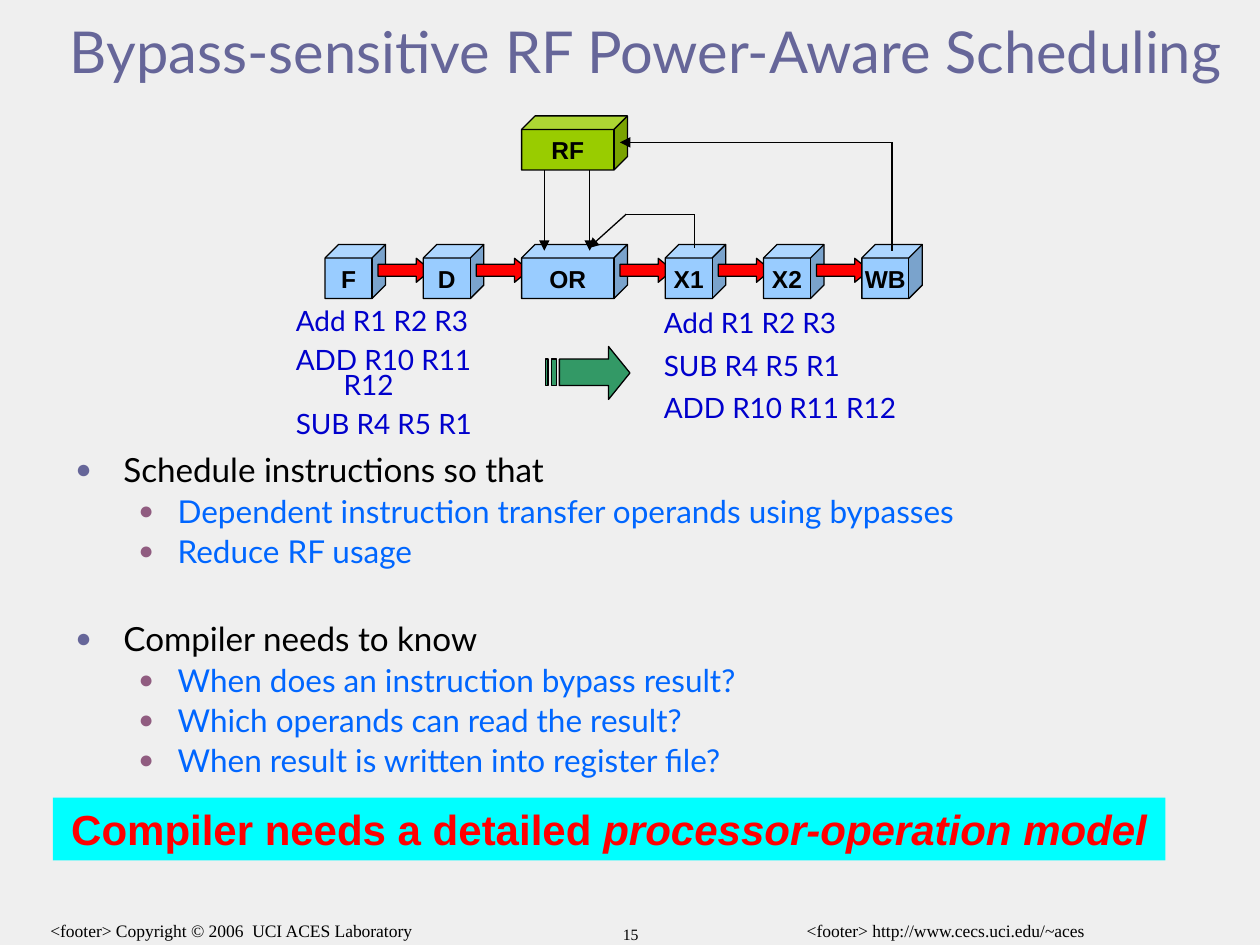
"""Build the slide on bypass-sensitive register file power-aware scheduling."""
import lxml.etree
import pptx
import pptx.dml.color
import pptx.enum.shapes
import pptx.enum.text
import pptx.oxml.ns
import pptx.util

Inches = pptx.util.Inches
Pt = pptx.util.Pt
SHAPE = pptx.enum.shapes.MSO_SHAPE
ALIGN = pptx.enum.text.PP_ALIGN
ANCHOR = pptx.enum.text.MSO_ANCHOR
qn = pptx.oxml.ns.qn

THEME = {
    "background": "EFEFEF", "line": "000000", "stage": "99CCFF", "register": "99CC00",
    "flow": "FF0000", "change": "339966", "banner": "00FFFF", "line_width": 0.75,
    "title": {"size": 33, "name": "Lato", "color": "666699"},
    "topic": {"size": 19, "name": "Lato", "color": "000000"},
    "detail": {"size": 18, "name": "Lato", "color": "0066FF"},
    "code": {"size": 16, "name": "Lato", "color": "0000CC"},
    "label": {"size": 14, "name": "Arial", "color": "000000", "bold": True},
    "claim": {"size": 24, "name": "Arial", "color": "FF0000", "bold": True},
    "footer": {"size": 10, "name": "Times New Roman", "color": "000000"},
    "number": {"size": 9, "name": "Times New Roman", "color": "000000"},
}
LEVELS = [
    {"style": "topic", "bullet": "666699", "margin": 0.38, "indent": -0.38, "before": 9.5},
    {"style": "detail", "bullet": "905C80", "margin": 0.81, "indent": -0.31, "before": 5.6},
]

TITLE = "Bypass-sensitive RF Power-Aware Scheduling"
TOPICS = [
    ("Schedule instructions so that", [
        "Dependent instruction transfer operands using bypasses",
        "Reduce RF usage"]),
    ("Compiler needs to know", [
        "When does an instruction bypass result?",
        "Which operands can read the result?",
        "When result is written into register file?"]),
]
TOPIC_GAP = 32.5
LISTINGS = [
    ((2.25, 2.42, 2, 1.17), 0.75, ["Add R1 R2 R3", "ADD R10 R11 R12", "SUB R4 R5 R1"]),
    ((5.17, 2.42, 2.08, 1.17), 0.85, ["Add R1 R2 R3", "SUB R4 R5 R1", "ADD R10 R11 R12"]),
]
CLAIM = [("Compiler needs a detailed ", False), ("processor-operation model", True)]
SMALL_PRINT = [
    ((0, 7.25, 3.67, 0.33), "footer", "<footer> Copyright © 2006  UCI ACES Laboratory"),
    ((5.67, 7.25, 3.67, 0.33), "footer", "<footer> http://www.cecs.uci.edu/~aces"),
    ((3.76, 7.29, 2.49, 0.25), "number", "15"),
]
STAGES = [("F", 0.48), ("D", 0.48), ("OR", 0.84), ("X1", 0.48), ("X2", 0.48), ("WB", 0.48)]
STAGE_LEFT, STAGE_TOP, STAGE_HEIGHT, STAGE_GAP = 2.58, 1.94, 0.43, 0.3
REGISTER_FILE = ("RF", (4.14, 0.92, 0.84, 0.43))
WIRES = [
    [(4.32, 1.35), (4.32, 1.99)],
    [(4.68, 1.35), (4.68, 1.99)],
    [(7.08, 1.99), (7.08, 1.13), (4.92, 1.13)],
    [(5.51, 1.97), (5.51, 1.7), (4.97, 1.7), (4.67, 1.97)],
]
CHANGE_ARROW = [
    [(4.44, 2.85), (4.83, 2.85), (4.83, 2.75), (5, 2.96), (4.83, 3.17), (4.83, 3.06), (4.44, 3.06)],
    [(4.33, 2.85), (4.35, 2.85), (4.35, 3.06), (4.33, 3.06)],
    [(4.38, 2.85), (4.42, 2.85), (4.42, 3.06), (4.38, 3.06)],
]


def color(value):
    return pptx.dml.color.RGBColor.from_string(value)


def lengths(numbers):
    return [Inches(number) for number in numbers]


def set_attributes(target, values):
    for name, value in values.items():
        setattr(target, name, value)


def add_span(para, text, style, italic=None):
    span = para.add_run()
    span.text = text
    values = {**THEME[style], "italic": italic}
    span.font.color.rgb = color(values.pop("color"))
    values["size"] = Pt(values["size"])
    set_attributes(span.font, values)


def add_para(frame, first, **values):
    para = frame.paragraphs[0] if first else frame.add_paragraph()
    set_attributes(para, {**values, "space_before": Pt(0 if first else values.get("space_before", 0))})
    return para


def set_indent(para, margin, indent):
    properties = para._p.get_or_add_pPr()
    properties.set("marL", str(Inches(margin)))
    properties.set("indent", str(Inches(indent)))
    return properties


def add_bullet(properties, bullet_color):
    holder = lxml.etree.SubElement(properties, qn("a:buClr"))
    lxml.etree.SubElement(holder, qn("a:srgbClr"), val=bullet_color)
    for tag, values in [("a:buSzPct", {"val": "80000"}), ("a:buFont", {"typeface": "Arial"}),
                        ("a:buChar", {"char": "●"})]:
        lxml.etree.SubElement(properties, qn(tag), values)


def add_text_box(slide, place):
    frame = slide.shapes.add_textbox(*lengths(place)).text_frame
    frame.word_wrap = True
    return frame


def paint(shape, fill, outlined=True):
    shape.shadow.inherit = False
    shape.fill.solid()
    shape.fill.fore_color.rgb = color(THEME[fill])
    if outlined:
        shape.line.color.rgb = color(THEME["line"])
        shape.line.width = Pt(THEME["line_width"])
    else:
        shape.line.fill.background()


def add_cube(slide, label, place, fill):
    cube = slide.shapes.add_shape(SHAPE.CUBE, *lengths(place))
    cube.adjustments[0] = 0.25
    paint(cube, fill)
    set_attributes(cube.text_frame, {"word_wrap": False, "vertical_anchor": ANCHOR.MIDDLE})
    add_span(add_para(cube.text_frame, True, alignment=ALIGN.CENTER), label, "label")


def add_wire(slide, points):
    for start, end in zip(points, points[1:]):
        wire = slide.shapes.add_connector(
            pptx.enum.shapes.MSO_CONNECTOR.STRAIGHT, *lengths(start + end))
        wire.line.color.rgb = color(THEME["line"])
        wire.line.width = Pt(THEME["line_width"])
        if end == points[-1]:
            lxml.etree.SubElement(wire.line._get_or_add_ln(), qn("a:tailEnd"), type="triangle")
        lxml.etree.SubElement(wire._element.spPr, qn("a:effectLst"))


def add_pipeline(slide):
    left = STAGE_LEFT
    for index, (label, width) in enumerate(STAGES):
        add_cube(slide, label, (left, STAGE_TOP, width, STAGE_HEIGHT), "stage")
        left += width + STAGE_GAP
        if index < len(STAGES) - 1:
            flow = slide.shapes.add_shape(
                SHAPE.RIGHT_ARROW, *lengths((left - STAGE_GAP - 0.06, 2.05, 0.42, 0.19)))
            flow.adjustments[0], flow.adjustments[1] = 0.5, 0.61
            paint(flow, "flow")
    add_cube(slide, *REGISTER_FILE, "register")
    for points in WIRES:
        add_wire(slide, points)


def add_change_arrow(slide):
    first, *stripes = [[lengths(point) for point in outline] for outline in CHANGE_ARROW]
    builder = slide.shapes.build_freeform(*first[0])
    builder.add_line_segments(first[1:], close=True)
    for stripe in stripes:
        builder.move_to(*stripe[0])
        builder.add_line_segments(stripe[1:], close=True)
    paint(builder.convert_to_shape(), "change")


def place_placeholder(shape, place):
    set_attributes(shape, dict(zip(("left", "top", "width", "height"), lengths(place))))
    shape.text_frame.auto_size = pptx.enum.text.MSO_AUTO_SIZE.NONE
    return shape.text_frame


def fill_placeholders(slide):
    title = place_placeholder(slide.shapes.title, (0.25, 0.08, 9.75, 0.72))
    title.vertical_anchor = ANCHOR.MIDDLE
    add_span(add_para(title, True, alignment=ALIGN.CENTER, line_spacing=0.85), TITLE, "title")
    body = place_placeholder(slide.placeholders[1], (0.5, 3.58, 9, 2.7))
    for index, (topic, details) in enumerate(TOPICS):
        for level, text in [(0, topic)] + [(1, detail) for detail in details]:
            form = LEVELS[level]
            before = form["before"] if level else TOPIC_GAP
            para = add_para(body, index == 0 and level == 0, level=level,
                            line_spacing=0.8, space_before=before)
            add_bullet(set_indent(para, form["margin"], form["indent"]), form["bullet"])
            add_span(para, text, form["style"])


def main():
    deck = pptx.Presentation()
    deck.slide_width, deck.slide_height = lengths((10, 7.5))
    slide = deck.slides.add_slide(deck.slide_layouts[1])
    slide.background.fill.solid()
    slide.background.fill.fore_color.rgb = color(THEME["background"])
    fill_placeholders(slide)
    add_pipeline(slide)
    for place, spacing, lines in LISTINGS:
        frame = add_text_box(slide, place)
        for index, line in enumerate(lines):
            para = add_para(frame, index == 0, line_spacing=spacing, space_before=8)
            set_indent(para, 0.38, -0.38)
            add_span(para, line, "code")
    add_change_arrow(slide)
    banner = slide.shapes.add_shape(SHAPE.RECTANGLE, *lengths((0.42, 6.33, 8.83, 0.5)))
    paint(banner, "banner", outlined=False)
    banner.text_frame.vertical_anchor = ANCHOR.TOP
    para = add_para(banner.text_frame, True, alignment=ALIGN.CENTER)
    for text, italic in CLAIM:
        add_span(para, text, "claim", italic)
    for place, style, text in SMALL_PRINT:
        add_span(add_para(add_text_box(slide, place), True, alignment=ALIGN.CENTER), text, style)
    deck.save("out.pptx")


if __name__ == "__main__":
    main()
